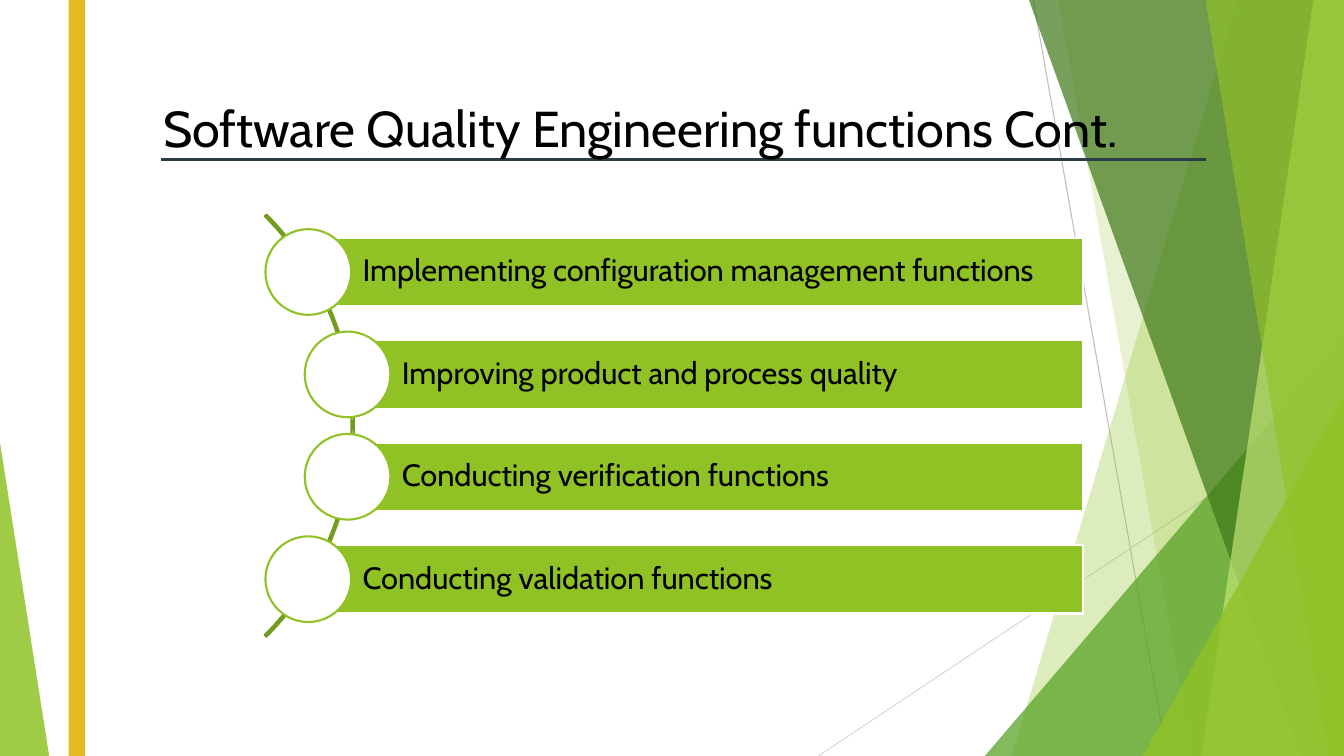
from lxml import etree
from pptx import Presentation
from pptx.dml.color import RGBColor
from pptx.enum.shapes import MSO_CONNECTOR, MSO_SHAPE
from pptx.enum.text import MSO_ANCHOR, PP_ALIGN
from pptx.oxml.ns import qn
from pptx.util import Cm, Pt

LINE = MSO_CONNECTOR.STRAIGHT
RECT, OVAL = MSO_SHAPE.RECTANGLE, MSO_SHAPE.OVAL
TRI, ARC = MSO_SHAPE.ISOSCELES_TRIANGLE, MSO_SHAPE.BLOCK_ARC
LEFT = PP_ALIGN.LEFT
TOP, MIDDLE = MSO_ANCHOR.TOP, MSO_ANCHOR.MIDDLE

# Content: text and indent step of each bar
TITLE = "Software Quality Engineering functions Cont."
ITEMS = [
    ("Implementing configuration management functions", 0),
    ("Improving product and process quality", 1),
    ("Conducting verification functions", 1),
    ("Conducting validation functions", 0),
]

THEME = {
    "font": "Cabin", "title": 36, "body": 22,
    "text": "000000", "white": "FFFFFF", "lime": "90C226",
    "green": "54A021", "dark": "3F7819", "pale": "C0E474",
    "gold": "E6B91E", "slate": "2C3C43", "arc": "739B1E",
    "gray": "BFBFBF", "mist": "D9D9D9",
}

# Lengths in centimetres
WIDE, HIGH = 33.87, 19.05
RAYS = [(26.04, 0, 29.41, HIGH, "gray"), (WIDE, 10.24, 20.62, HIGH, "mist")]
# Panel: x at top, x at bottom. Wedge: left, top, width, apex.
FACETS = [
    ("panel", (31.19, 25.5), "lime", 30),
    ("panel", (26.67, 30.05), "lime", 20),
    ("wedge", (24.82, 8.46, 9.05, 1), "green", 72),
    ("panel", (25.93, 32.79), "dark", 70),
    ("panel", (33.1, 30.28), "pale", 70),
    ("panel", (30.38, 33.48), "lime", 65),
    ("wedge", (28.8, 9.98, 5.07, 1), "lime", 80),
    ("wedge", (0, 11.15, 1.24, 0), "lime", 85),
]
BAR = {"left": 7.77, "step": 0.99, "right": 27.3, "top": 5.99,
       "pitch": 2.58, "high": 1.73}
DOT = 2.16
RING = 15.04

deck = Presentation()
deck.slide_width, deck.slide_height = Cm(WIDE), Cm(HIGH)
slide = deck.slides.add_slide(deck.slide_layouts[6])
shapes = slide.shapes


def color(name):
    return RGBColor.from_string(THEME[name])


def paint(shape, fill=None, line=None, alpha=100):
    shape.shadow.inherit = False
    if fill:
        shape.fill.solid()
        shape.fill.fore_color.rgb = color(fill)
        if alpha < 100:
            tint = shape.fill._xPr.find(".//" + qn("a:srgbClr"))
            etree.SubElement(tint, qn("a:alpha")).set("val", str(alpha * 1000))
    else:
        shape.fill.background()
    if line:
        shape.line.color.rgb = color(line)
        shape.line.width = Pt(1.5)
    else:
        shape.line.fill.background()


def add(kind, left, top, wide, high, **look):
    shape = shapes.add_shape(kind, Cm(left), Cm(top), Cm(wide), Cm(high))
    paint(shape, **look)
    return shape


def rule(x1, y1, x2, y2, name, width):
    line = shapes.add_connector(LINE, Cm(x1), Cm(y1), Cm(x2), Cm(y2))
    line.line.color.rgb = color(name)
    line.line.width = Pt(width)
    etree.SubElement(line._element.spPr, qn("a:effectLst"))


def write(shape, text, size, anchor, insets):
    frame = shape.text_frame
    frame.text = text
    frame.word_wrap = True
    frame.vertical_anchor = anchor
    (frame.margin_left, frame.margin_top,
     frame.margin_right, frame.margin_bottom) = [Cm(n) for n in insets]
    para = frame.paragraphs[0]
    para.alignment = LEFT
    font = para.runs[0].font
    font.name, font.size = THEME["font"], Pt(THEME[size])
    font.color.rgb = color("text")
    return para


# Backdrop of rays and facets
for ray in RAYS:
    rule(*ray, 0.75)
for kind, place, fill, alpha in FACETS:
    if kind == "panel":
        upper, lower = place
        form = shapes.build_freeform(Cm(upper), 0, scale=1.0)
        form.add_line_segments([(Cm(WIDE), 0), (Cm(WIDE), Cm(HIGH)),
                                (Cm(lower), Cm(HIGH))], close=True)
        paint(form.convert_to_shape(), fill, alpha=alpha)
    else:
        left, top, wide, apex = place
        wedge = add(TRI, left, top, wide, HIGH - top, fill=fill, alpha=alpha)
        wedge.adjustments[0] = apex

# Gold band, rule and title
add(RECT, 1.73, 0, 0.41, HIGH, fill="gold")
rule(4.06, 4.01, 30.38, 4.01, "slate", 2.25)
box = shapes.add_textbox(Cm(3.86), Cm(2.31), Cm(26.31), Cm(3.66))
write(box, TITLE, "title", TOP, (0.25, 0.13, 0.25, 0.13))

# Arc centred on the stack of bars
stack = BAR["pitch"] * (len(ITEMS) - 1) + BAR["high"]
arc = add(ARC, -6.12, BAR["top"] + (stack - RING) / 2, RING, RING, line="arc")
for i, turn in enumerate((189, 27, 0.004)):
    arc.adjustments[i] = turn

# Bars, each with a dot centred on its left edge
for i, (text, step) in enumerate(ITEMS):
    left = BAR["left"] + step * BAR["step"]
    top = BAR["top"] + i * BAR["pitch"]
    bar = add(RECT, left, top, BAR["right"] - left, BAR["high"],
              fill="lime", line="white")
    para = write(bar, text, "body", MIDDLE, (1.37, 0.15, 0.15, 0.15))
    para.line_spacing = 0.9
    add(OVAL, left - DOT / 2, top + (BAR["high"] - DOT) / 2, DOT, DOT,
        fill="white", line="lime")

deck.save("out.pptx")
